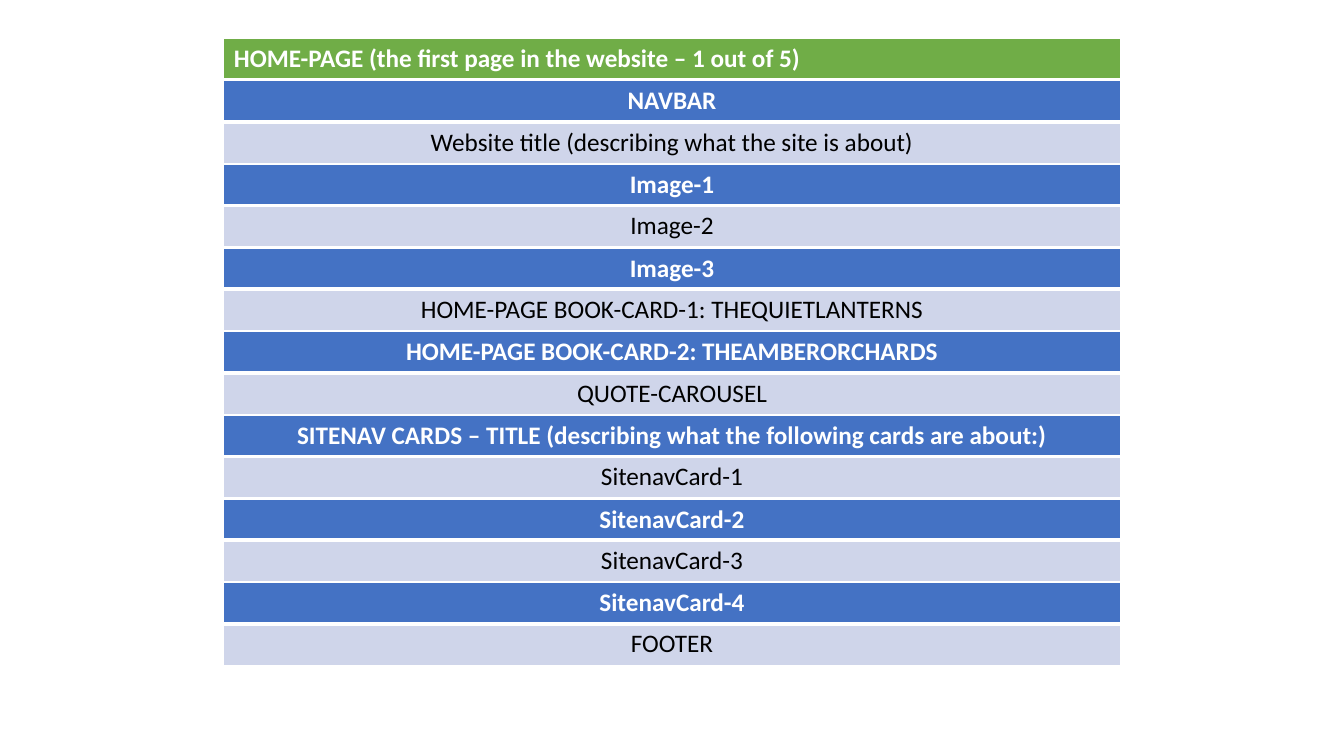
from lxml.etree import SubElement
from pptx import Presentation
from pptx.dml.color import RGBColor
from pptx.enum.text import PP_ALIGN
from pptx.oxml.ns import qn
from pptx.util import Inches, Pt

WHITE = RGBColor(0xFF, 0xFF, 0xFF)
BLACK = RGBColor(0x00, 0x00, 0x00)
GREEN = RGBColor(0x70, 0xAD, 0x47)
BLUE = RGBColor(0x44, 0x72, 0xC4)
PALE_BLUE = RGBColor(0xCF, 0xD5, 0xEA)

LEFT, TOP, WIDTH = 2.22, 0.38, 8.89
ROW_HEIGHT = 0.41
SECTION_OFFSET, SECTION_PITCH = 0.42, 0.83

# Row looks: fill, text colour, alignment, font values, border widths in points
BORDERS = {"L": 1, "R": 1, "T": 1, "B": 3}
HEADING_FONT = {"name": "Calibri", "size": Pt(18), "bold": True}
PAGE_LOOK = (GREEN, WHITE, PP_ALIGN.LEFT, HEADING_FONT, BORDERS)
HEADING_LOOK = (BLUE, WHITE, PP_ALIGN.CENTER, HEADING_FONT, BORDERS)
DETAIL_LOOK = (PALE_BLUE, BLACK, PP_ALIGN.CENTER,
               {**HEADING_FONT, "bold": False}, {**BORDERS, "T": 3, "B": 1})

PAGE_TITLE = "HOME-PAGE (the first page in the website – 1 out of 5)"
SECTIONS = [
    ("NAVBAR", "Website title (describing what the site is about)"),
    ("Image-1", "Image-2"),
    ("Image-3", "HOME-PAGE BOOK-CARD-1: THEQUIETLANTERNS"),
    ("HOME-PAGE BOOK-CARD-2: THEAMBERORCHARDS", "QUOTE-CAROUSEL"),
    ("SITENAV CARDS – TITLE (describing what the following cards are about:)",
     "SitenavCard-1"),
    ("SitenavCard-2", "SitenavCard-3"),
    ("SitenavCard-4", "FOOTER"),
]


def set_borders(cell, widths):
    """Give a cell white borders, placed ahead of its fill as the schema asks."""
    properties = cell._tc.get_or_add_tcPr()
    for position, (side, width) in enumerate(widths.items()):
        border = SubElement(properties, qn(f"a:ln{side}"), w=str(Pt(width)))
        solid = SubElement(border, qn("a:solidFill"))
        SubElement(solid, qn("a:srgbClr"), val=str(WHITE))
        properties.insert(position, border)


def fill_row(cell, text, look):
    """Write one row's text and give it its look."""
    fill, text_colour, alignment, font_values, borders = look
    cell.fill.solid()
    cell.fill.fore_color.rgb = fill
    set_borders(cell, borders)
    paragraph = cell.text_frame.paragraphs[0]
    paragraph.alignment = alignment
    run = paragraph.add_run()
    run.text = text
    for attribute, value in font_values.items():
        setattr(run.font, attribute, value)
    run.font.color.rgb = text_colour


def add_section(slide, left, top, width, rows):
    """Stack one single-column table of (text, look) rows in the given box."""
    section = slide.shapes.add_table(
        len(rows), 1, Inches(left), Inches(top),
        Inches(width), Inches(ROW_HEIGHT * len(rows))).table
    for index, (text, look) in enumerate(rows):
        fill_row(section.cell(index, 0), text, look)


def add_page_outline(slide, left, top, width):
    """Place the page sections and the title bar above them."""
    # Page sections, top to bottom
    for index, (heading, detail) in enumerate(SECTIONS):
        section_top = top + SECTION_OFFSET + index * SECTION_PITCH
        add_section(slide, left, section_top, width,
                    [(heading, HEADING_LOOK), (detail, DETAIL_LOOK)])
    # Page title bar
    add_section(slide, left, top, width, [(PAGE_TITLE, PAGE_LOOK)])


presentation = Presentation()
presentation.slide_width = Inches(13.33)
presentation.slide_height = Inches(7.5)
home_page = presentation.slides.add_slide(presentation.slide_layouts[6])
add_page_outline(home_page, LEFT, TOP, WIDTH)
presentation.save("out.pptx")
